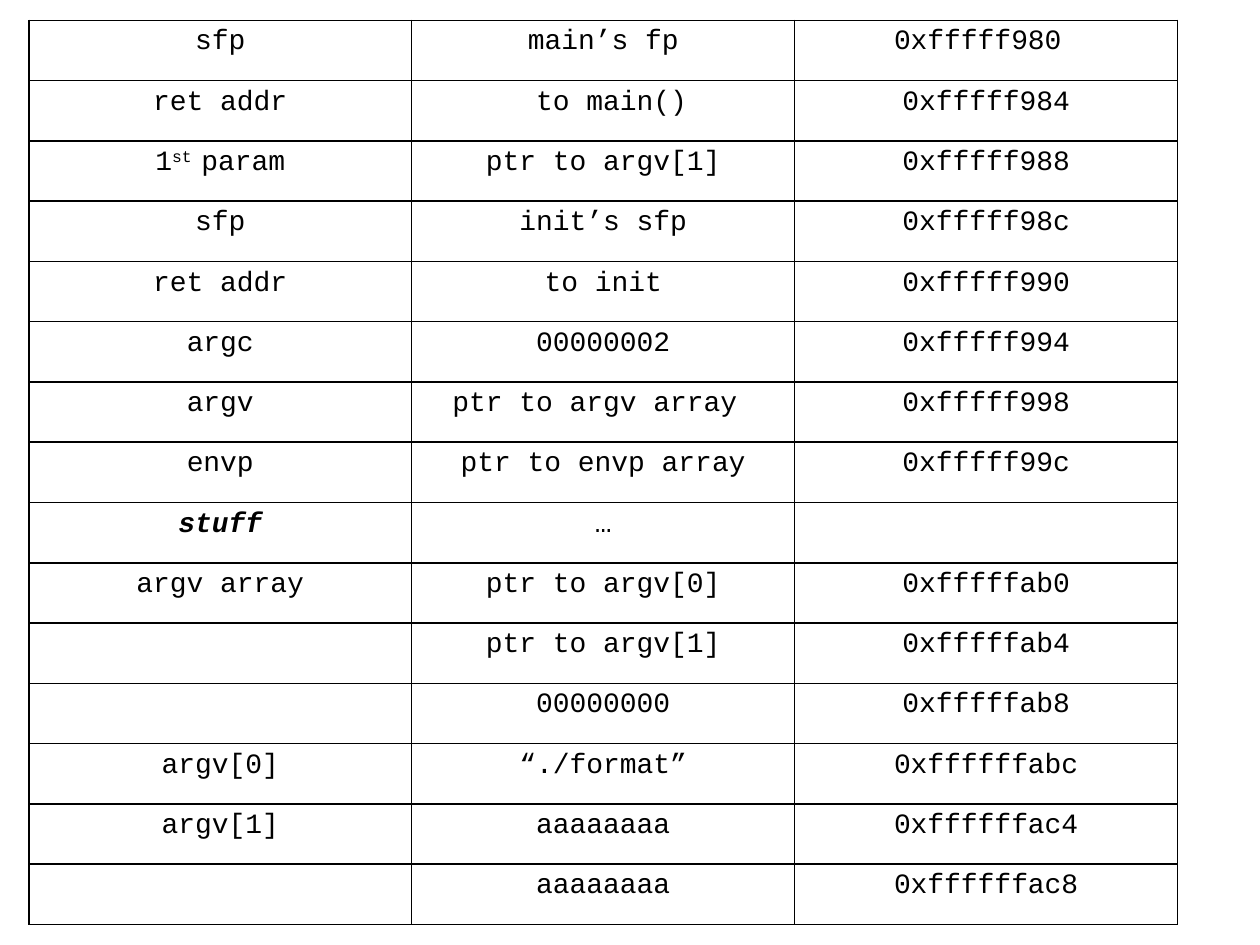
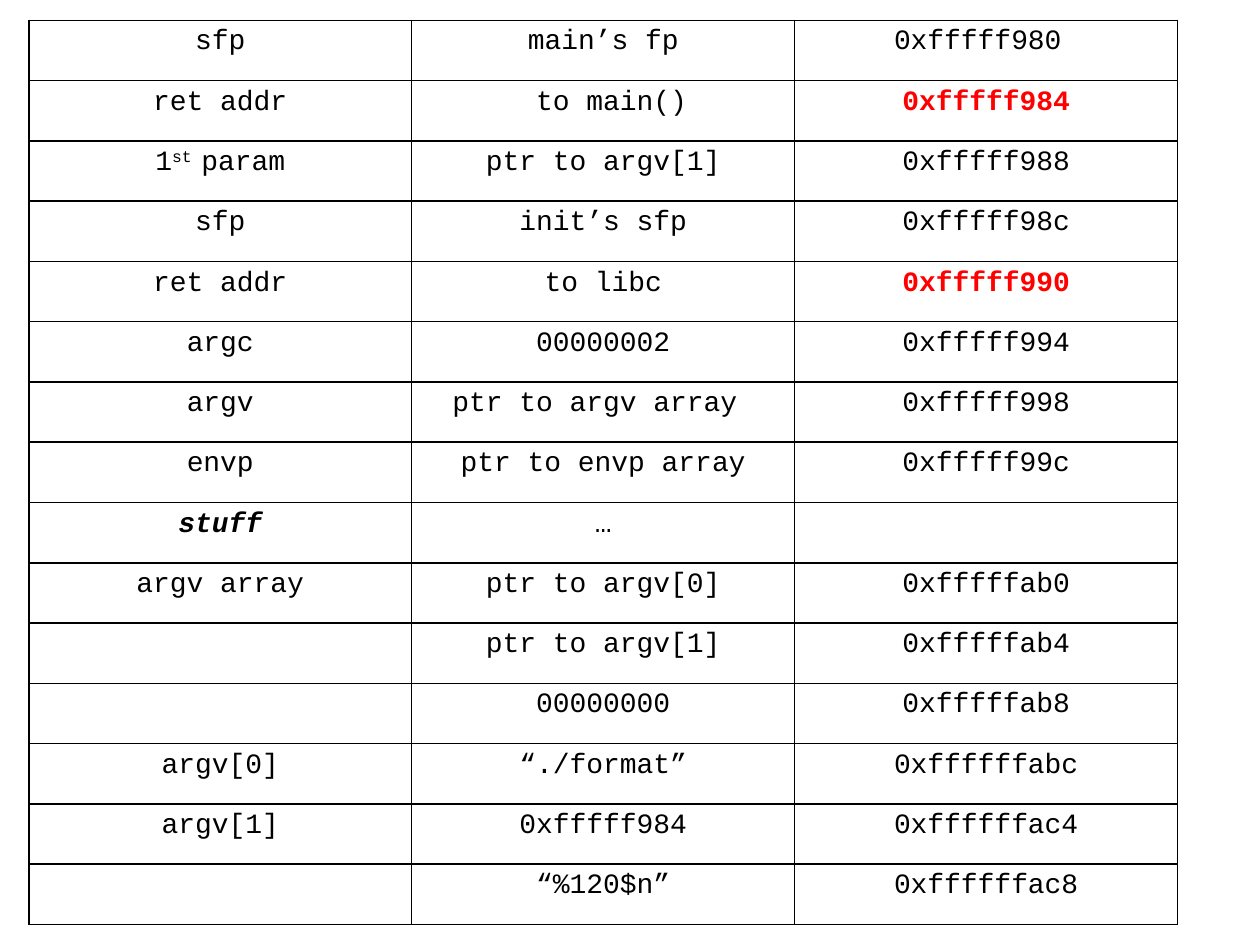
from lxml import etree
from pptx import Presentation
from pptx.dml.color import RGBColor
from pptx.enum.text import PP_ALIGN
from pptx.oxml.ns import qn
from pptx.util import Cm, Pt

BLACK = RGBColor(0, 0, 0)
RED = RGBColor(255, 0, 0)
CENTER = PP_ALIGN.CENTER
FONT = "Courier New"
COL_W = Cm(7.72)
TABLE_H = Cm(18.24)

FRAMES = [
    ("sfp", "main’s fp", "0xfffff980 "),
    ("ret addr", " to main()", "0xfffff984"),
    (("1", "st ", "param"), "ptr to argv[1]", "0xfffff988"),
    ("sfp", "init’s sfp", "0xfffff98c"),
]
ARGUMENTS = [
    ("argc", "00000002", "0xfffff994"),
    ("argv", "ptr to argv array ", "0xfffff998"),
    ("envp", "ptr to envp array", "0xfffff99c"),
    ("stuff", "…", ""),
    ("argv array", "ptr to argv[0]", "0xfffffab0"),
    ("", "ptr to argv[1]", "0xfffffab4"),
    ("", "00000000", "0xfffffab8"),
    ("argv[0]", "“./format”", "0xffffffabc"),
]


def stack_rows(caller, payload):
    return [
        *FRAMES,
        ("ret addr", f"to {caller}", "0xfffff990"),
        *ARGUMENTS,
        ("argv[1]", payload[0], "0xffffffac4"),
        ("", payload[1], "0xffffffac8"),
    ]


def add_borders(cell):
    tcPr = cell._tc.get_or_add_tcPr()
    for side in ("a:lnL", "a:lnR", "a:lnT", "a:lnB"):
        ln = etree.SubElement(tcPr, qn(side), w=str(Pt(1)))
        fill = etree.SubElement(ln, qn("a:solidFill"))
        etree.SubElement(fill, qn("a:srgbClr"), val=str(BLACK))


def fill_cell(cell, text, highlighted):
    add_borders(cell)
    cell.fill.background()
    p = cell.text_frame.paragraphs[0]
    p.alignment = CENTER
    p.font.name = FONT
    p.font.size = Pt(16)
    p.font.bold = highlighted or text == "stuff"
    p.font.italic = text == "stuff"
    p.font.color.rgb = RED if highlighted else BLACK
    if isinstance(text, tuple):
        for part in text:
            p.add_run().text = part
        p.runs[1]._r.get_or_add_rPr().set("baseline", "30000")
    elif text:
        p.add_run().text = text


def add_stack_slide(prs, rows, highlights=()):
    s = prs.slides.add_slide(prs.slide_layouts[6])
    frame = s.shapes.add_table(len(rows), 3, Cm(0.58), Cm(0.41), 3 * COL_W, TABLE_H)
    table = frame.table
    table.first_row = False
    table.horz_banding = False
    for col in table.columns:
        col.width = COL_W
    for i, row in enumerate(rows):
        table.rows[i].height = TABLE_H // len(rows)
        for j, text in enumerate(row):
            fill_cell(table.cell(i, j), text, j == 2 and text in highlights)


def main():
    prs = Presentation()
    prs.slide_width, prs.slide_height = Cm(25.4), Cm(19.05)
    add_stack_slide(prs, stack_rows("init", ("aaaaaaaa", "aaaaaaaa")))
    add_stack_slide(prs, stack_rows("libc", ("0xfffff984", "“%120$n”")),
                    ("0xfffff984", "0xfffff990"))
    prs.save("out.pptx")


main()
